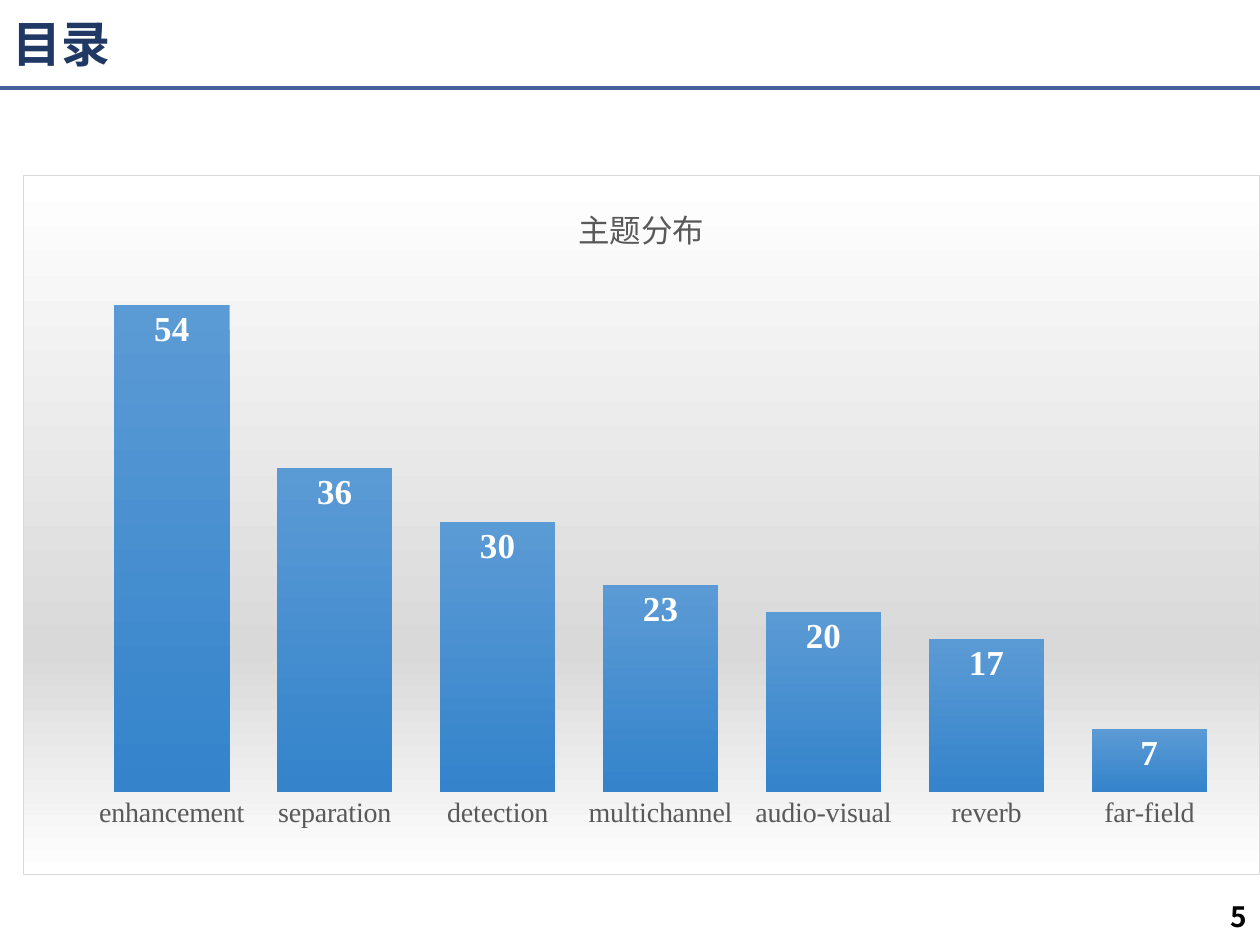
from lxml import etree
from pptx import Presentation
from pptx.chart.data import CategoryChartData
from pptx.dml.color import RGBColor
from pptx.enum.chart import XL_CHART_TYPE as CT, XL_LABEL_POSITION as LP, XL_TICK_MARK as TM
from pptx.enum.shapes import MSO_CONNECTOR
from pptx.enum.text import MSO_ANCHOR, MSO_AUTO_SIZE, PP_ALIGN
from pptx.oxml import parse_xml
from pptx.oxml.ns import nsdecls, qn
from pptx.util import Pt

SCALE = 914400 / 126
SANS, SERIF = "Noto Sans CJK SC", "Times New Roman"


def rgb(color):
    return RGBColor.from_string(color)


def add_text(p, text, size, color, font=SANS, bold=False, align=PP_ALIGN.LEFT):
    p.alignment = align
    r = p.add_run()
    r.text = text
    r.font.size, r.font.bold, r.font.name = Pt(size), bold, font
    r.font.color.rgb = rgb(color)
    etree.SubElement(r._r.get_or_add_rPr(), qn("a:ea")).set("typeface", SANS)


prs = Presentation()
prs.slide_width, prs.slide_height = [round(v * SCALE) for v in (1260, 945)]
s = prs.slides.add_slide(prs.slide_layouts[5])

rule = s.shapes.add_connector(MSO_CONNECTOR.STRAIGHT, 0, round(88 * SCALE), prs.slide_width, round(88 * SCALE))
rule.line.color.rgb = rgb("44609C")
rule.line.width = Pt(2)
etree.SubElement(rule._element.spPr, qn("a:effectLst"))

title = s.shapes.title
title.left, title.top, title.width, title.height = [round(v * SCALE) for v in (0, 10, 1260, 74)]
tf = title.text_frame
tf.auto_size = MSO_AUTO_SIZE.NONE
tf.vertical_anchor = MSO_ANCHOR.MIDDLE
tf.paragraphs[0].line_spacing = 0.9
add_text(tf.paragraphs[0], "目录", 28, "203864", bold=True)

number = s.shapes.add_textbox(*[round(v * SCALE) for v in (975, 893, 284, 50)])
number.text_frame.word_wrap = True
add_text(number.text_frame.paragraphs[0], "5", 16, "000000", bold=True, align=PP_ALIGN.RIGHT)

data = CategoryChartData()
data.categories = ["enhancement", "separation", "detection", "multichannel",
                   "audio-visual", "reverb", "far-field"]
data.add_series("主题分布", [54, 36, 30, 23, 20, 17, 7])
box = [round(v * SCALE) for v in (23, 175, 1237, 700)]
chart = s.shapes.add_chart(CT.COLUMN_CLUSTERED, *box, data).chart
chart.font.name, chart.font.size = SERIF, Pt(10)
chart.font.color.rgb = rgb("000000")
chart.has_legend = False
chart.has_title = True
add_text(chart.chart_title.text_frame.paragraphs[0], "主题分布", 18, "595959", SERIF, align=PP_ALIGN.CENTER)
chart.chart_title.include_in_layout = False

cat = chart.category_axis
cat.major_tick_mark = cat.minor_tick_mark = TM.NONE
cat.format.line.fill.background()
cat.tick_labels.font.size, cat.tick_labels.font.name = Pt(16), SERIF
cat.tick_labels.font.color.rgb = rgb("595959")
val = chart.value_axis
val.minimum_scale, val.maximum_scale = 0, 60
val.has_major_gridlines = False
val.visible = False

plot = chart.plots[0]
plot.gap_width = 41
plot.vary_by_categories = False
fill = plot.series[0].format.fill
fill.gradient()
fill.gradient_angle = 270
for stop, color in zip(fill.gradient_stops, ("5B9BD5", "3483CB")):
    stop.color.rgb = rgb(color)

plot.has_data_labels = True
labels = plot.data_labels
labels.show_value = True
labels.position = LP.INSIDE_END
labels.font.size, labels.font.bold, labels.font.name = Pt(20), True, SERIF
labels.font.color.rgb = rgb("FFFFFF")

space = chart._chartSpace
area = space.find(".//" + qn("c:plotArea"))
for old in area.findall(qn("c:layout")):
    area.remove(old)
frame = "".join(f'<c:{k} val="{v}"/>' for k, v in (
    ("layoutTarget", "inner"), ("xMode", "edge"), ("yMode", "edge"),
    ("x", 0.054), ("y", 0.108), ("w", 0.923), ("h", 0.775)))
area.insert(0, parse_xml(f'<c:layout {nsdecls("c")}><c:manualLayout>{frame}</c:manualLayout></c:layout>'))

stops = "".join(f'<a:gs pos="{pos * 1000}"><a:srgbClr val="{color}"/></a:gs>'
                for pos, color in ((0, "FFFFFF"), (68, "D9D9D9"), (100, "FFFFFF")))
space.find(qn("c:chart")).addnext(parse_xml(
    f'<c:spPr {nsdecls("c", "a")}><a:gradFill><a:gsLst>{stops}</a:gsLst>'
    '<a:lin ang="5400000" scaled="0"/></a:gradFill>'
    '<a:ln w="9525"><a:solidFill><a:srgbClr val="D9D9D9"/></a:solidFill></a:ln></c:spPr>'))

prs.save("out.pptx")
